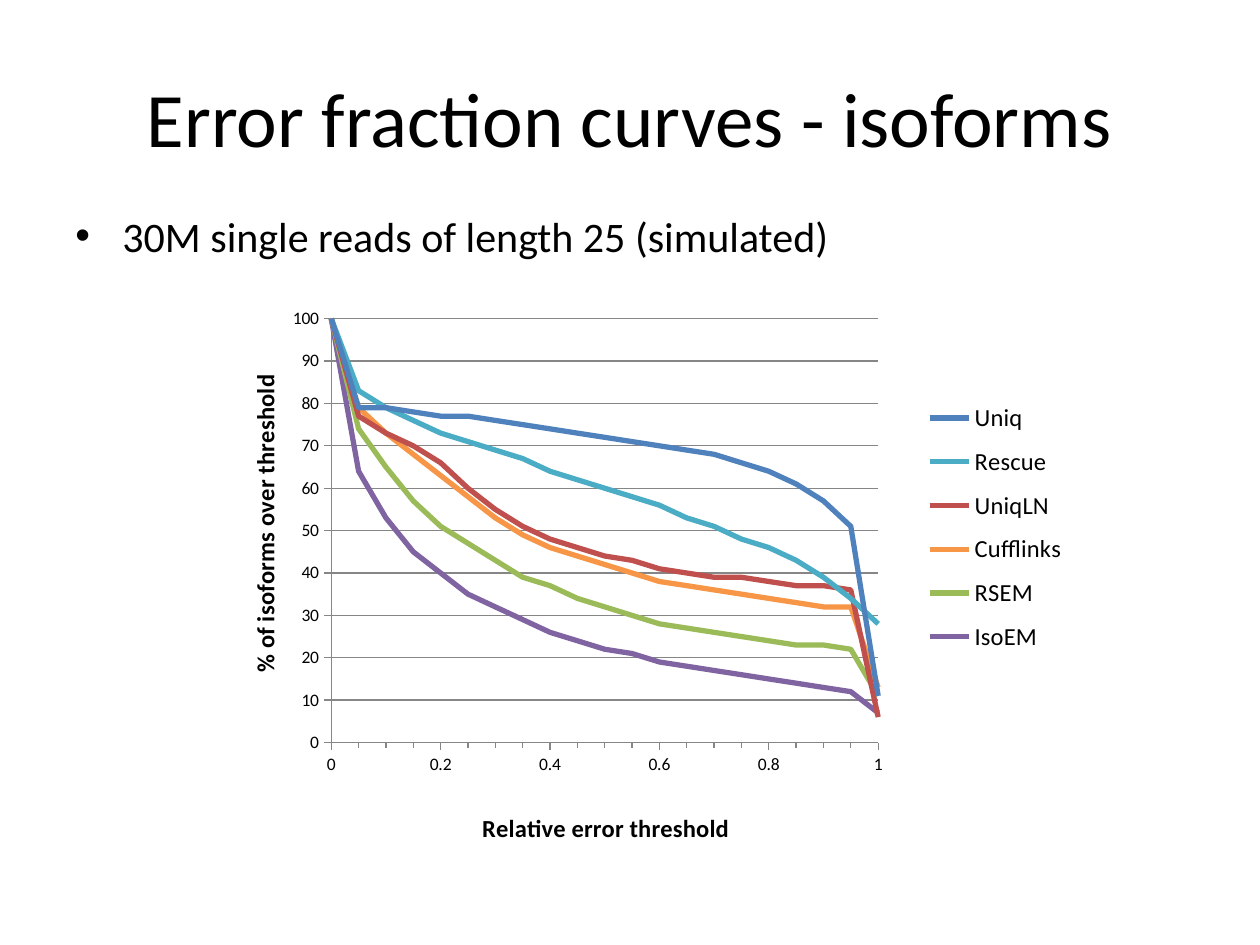
from lxml import etree
from pptx import Presentation
from pptx.chart.data import XyChartData
from pptx.dml.color import RGBColor
from pptx.enum.chart import XL_CHART_TYPE, XL_LEGEND_POSITION, XL_TICK_MARK
from pptx.enum.text import MSO_ANCHOR, PP_ALIGN
from pptx.oxml import parse_xml
from pptx.oxml.ns import nsdecls, qn
from pptx.util import Cm, Pt

FONT = "Calibri"
BLACK = RGBColor(0x00, 0x00, 0x00)
GRAY = RGBColor(0x86, 0x86, 0x86)
BLUE = RGBColor(0x4F, 0x81, 0xBD)
TEAL = RGBColor(0x4B, 0xAC, 0xC6)
RED = RGBColor(0xC0, 0x50, 0x4D)
ORANGE = RGBColor(0xF7, 0x96, 0x46)
GREEN = RGBColor(0x9B, 0xBB, 0x59)
PURPLE = RGBColor(0x80, 0x64, 0xA2)

# Percentage of isoforms at thresholds 0, 0.05, ... 1
THRESHOLDS = [round(step * 0.05, 2) for step in range(21)]
CURVES = [
    ("Uniq", BLUE, [100, 79, 79, 78, 77, 77, 76, 75, 74, 73, 72,
                    71, 70, 69, 68, 66, 64, 61, 57, 51, 11]),
    ("Rescue", TEAL, [100, 83, 79, 76, 73, 71, 69, 67, 64, 62, 60,
                      58, 56, 53, 51, 48, 46, 43, 39, 34, 28]),
    ("UniqLN", RED, [100, 77, 73, 70, 66, 60, 55, 51, 48, 46, 44,
                     43, 41, 40, 39, 39, 38, 37, 37, 36, 6]),
    ("Cufflinks", ORANGE, [100, 79, 73, 68, 63, 58, 53, 49, 46, 44, 42,
                           40, 38, 37, 36, 35, 34, 33, 32, 32, 13]),
    ("RSEM", GREEN, [100, 74, 65, 57, 51, 47, 43, 39, 37, 34, 32,
                     30, 28, 27, 26, 25, 24, 23, 23, 22, 11]),
    ("IsoEM", PURPLE, [100, 64, 53, 45, 40, 35, 32, 29, 26, 24, 22,
                       21, 19, 18, 17, 16, 15, 14, 13, 12, 7]),
]


def style_font(font, size, bold=False):
    font.name, font.size, font.bold = FONT, Pt(size), bold
    font.color.rgb = BLACK


def add_text(slide, box, text, size, align=PP_ALIGN.LEFT,
             anchor=MSO_ANCHOR.TOP, bullet=None, indent=0):
    frame = slide.shapes.add_textbox(*box).text_frame
    frame.word_wrap = True
    frame.vertical_anchor = anchor
    paragraph = frame.paragraphs[0]
    paragraph.alignment = align
    if bullet:
        props = paragraph._p.get_or_add_pPr()
        props.set("marL", str(indent))
        props.set("indent", str(-indent))
        etree.SubElement(props, qn("a:buFont")).set("typeface", "Arial")
        etree.SubElement(props, qn("a:buChar")).set("char", bullet)
    run = paragraph.add_run()
    run.text = text
    style_font(run.font, size)


def make_layout(x, y, w=None, h=None, inner=False):
    """Manual chart layout, in fractions of the chart area."""
    parts = [("xMode", "edge"), ("yMode", "edge"),
             ("x", x), ("y", y), ("w", w), ("h", h)]
    if inner:
        parts.insert(0, ("layoutTarget", "inner"))
    tags = "".join(f'<c:{tag} val="{value}"/>'
                   for tag, value in parts if value is not None)
    return parse_xml(f'<c:layout {nsdecls("c")}><c:manualLayout>{tags}'
                     '</c:manualLayout></c:layout>')


def place(element, layout, after=None):
    for old in element.findall(qn("c:layout")):
        element.remove(old)
    if after is None:
        element.insert(0, layout)
    else:
        element.find(qn(after)).addnext(layout)


def format_axis(axis, title, top, major, layout):
    axis.minimum_scale, axis.maximum_scale = 0, top
    axis.major_unit = major
    axis.major_tick_mark = XL_TICK_MARK.OUTSIDE
    axis.format.line.color.rgb = GRAY
    axis.tick_labels.number_format = "General"
    axis.tick_labels.number_format_is_linked = False
    style_font(axis.tick_labels.font, 10)
    run = axis.axis_title.text_frame.paragraphs[0].add_run()
    run.text = title
    style_font(run.font, 14, bold=True)
    place(axis.axis_title._element, layout, after="c:tx")


def add_heading(slide, box):
    add_text(slide, box, "Error fraction curves - isoforms", 44,
             align=PP_ALIGN.CENTER, anchor=MSO_ANCHOR.MIDDLE)


def add_body(slide, box):
    add_text(slide, box, "30M single reads of length 25 (simulated)", 24,
             bullet="•", indent=Cm(0.95))


def add_error_chart(slide, box):
    data = XyChartData()
    for name, _, percents in CURVES:
        curve = data.add_series(name)
        for threshold, percent in zip(THRESHOLDS, percents):
            curve.add_data_point(threshold, percent)
    chart = slide.shapes.add_chart(
        XL_CHART_TYPE.XY_SCATTER_LINES_NO_MARKERS, *box, data).chart
    chart.has_title = False
    style_font(chart.font, 10)

    # Curves
    plot = chart.plots[0]
    plot.vary_by_categories = False
    for series, (_, color, _) in zip(plot.series, CURVES):
        series.smooth = False
        series.format.line.color.rgb = color
        series.format.line.width = Pt(3)
    plot_area = chart._chartSpace.chart.plotArea
    place(plot_area, make_layout(0.2, 0.09, 0.56, 0.66, inner=True))

    # Axes
    format_axis(chart.category_axis, "Relative error threshold", 1, 0.2,
                make_layout(0.35, 0.85))
    chart.category_axis.has_major_gridlines = False
    chart.category_axis.minor_unit = 0.05
    chart.category_axis.minor_tick_mark = XL_TICK_MARK.OUTSIDE
    format_axis(chart.value_axis, "% of isoforms over threshold", 100, 10,
                make_layout(0.11, 0.17))
    chart.value_axis.has_major_gridlines = True
    chart.value_axis.major_gridlines.format.line.color.rgb = GRAY

    # Legend
    chart.has_legend = True
    legend = chart.legend
    legend.position = XL_LEGEND_POSITION.RIGHT
    legend.include_in_layout = False
    style_font(legend.font, 14)
    place(legend._element, make_layout(0.8, 0.2, 0.16, 0.43),
          after="c:legendPos")


def main():
    deck = Presentation()
    deck.slide_width, deck.slide_height = Cm(25.4), Cm(19.05)
    slide = deck.slides.add_slide(deck.slide_layouts[6])
    add_heading(slide, (Cm(1.27), Cm(0.76), Cm(22.86), Cm(3.18)))
    add_body(slide, (Cm(1.27), Cm(4.11), Cm(22.86), Cm(13.23)))
    add_error_chart(slide, (Cm(2.74), Cm(5.26), Cm(19.69), Cm(12.95)))
    deck.save("out.pptx")


if __name__ == "__main__":
    main()
